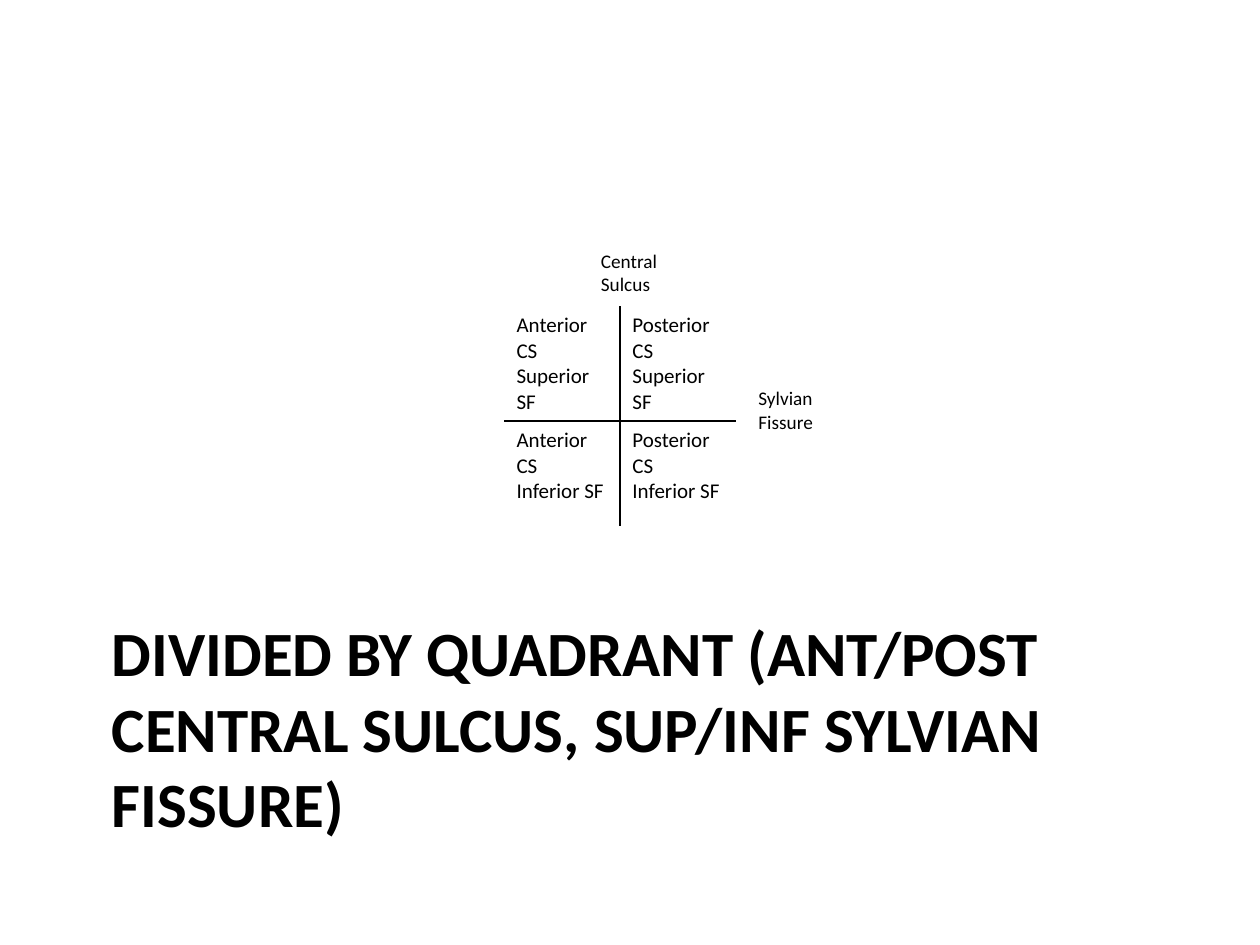
from lxml.etree import SubElement
from pptx import Presentation
from pptx.dml.color import RGBColor as Rgb
from pptx.enum.text import MSO_ANCHOR as Anchor, MSO_AUTO_SIZE as Fit
from pptx.oxml.ns import qn
from pptx.util import Inches, Pt

TITLE = "DIVIDED BY QUADRANT (ANT/POST CENTRAL SULCUS, SUP/INF SYLVIAN FISSURE)"
COLS = ["Anterior CS", "Posterior CS"]
ROWS = ["Superior SF", "Inferior SF"]
SULCUS = ["Central Sulcus"]
FISSURE = ["Sylvian", "Fissure"]

THEME = {
    "title": {"name": "Calibri", "size": Pt(36), "bold": True},
    "cell": {"name": "Calibri", "size": Pt(12), "bold": False},
    "label": {"name": "Calibri", "size": Pt(11), "bold": False},
    "ink": "000000",
    "rule": Pt(1),
}
WIDE, HIGH = 10, 7.5
LEFT, TOP = 0.4 * WIDE, 2.43
COL, ROW = 0.92, 0.83
LABEL = 0.47


def write(frame, lines, style):
    frame.word_wrap = True
    for i, line in enumerate(lines):
        para = frame.paragraphs[0] if i == 0 else frame.add_paragraph()
        run = para.add_run()
        run.text = line
        for key, value in THEME[style].items():
            setattr(run.font, key, value)
        run.font.color.rgb = Rgb.from_string(THEME["ink"])


def add_text(slide, box, lines, style, fit=Fit.NONE):
    frame = slide.shapes.add_textbox(*map(Inches, box)).text_frame
    write(frame, lines, style)
    frame.auto_size = fit
    frame.vertical_anchor = Anchor.TOP


def set_edges(cell, inner):
    """Rule the inner sides of a cell and clear the others."""
    props = cell._tc.get_or_add_tcPr()
    for side in "LRTB":
        line = SubElement(props, qn("a:ln" + side), w=str(THEME["rule"]))
        if side in inner:
            fill = SubElement(line, qn("a:solidFill"))
            SubElement(fill, qn("a:srgbClr"), val=THEME["ink"])
        else:
            SubElement(line, qn("a:noFill"))


def add_grid(slide):
    size = len(COLS) * COL, len(ROWS) * ROW
    table = slide.shapes.add_table(
        len(ROWS), len(COLS), *map(Inches, (LEFT, TOP, *size))).table
    table.first_row = table.horz_banding = False
    for col in table.columns:
        col.width = Inches(COL)
    for r, row in enumerate(ROWS):
        table.rows[r].height = Inches(ROW)
        for c, col in enumerate(COLS):
            cell = table.cell(r, c)
            write(cell.text_frame, [col, row], "cell")
            set_edges(cell, "RL"[c] + "BT"[r])
            cell.fill.background()


def main():
    deck = Presentation()
    deck.slide_width, deck.slide_height = Inches(WIDE), Inches(HIGH)
    slide = deck.slides.add_slide(deck.slide_layouts[6])
    add_text(slide, (0.79, 4.82, 0.85 * WIDE, 1.49), [TITLE], "title")
    add_grid(slide)
    add_text(slide, (4.67, TOP - 0.5, COL, LABEL), SULCUS, "label",
             Fit.SHAPE_TO_FIT_TEXT)
    add_text(slide, (5.92, 3.02, COL, LABEL), FISSURE, "label",
             Fit.SHAPE_TO_FIT_TEXT)
    deck.save("out.pptx")


if __name__ == "__main__":
    main()
